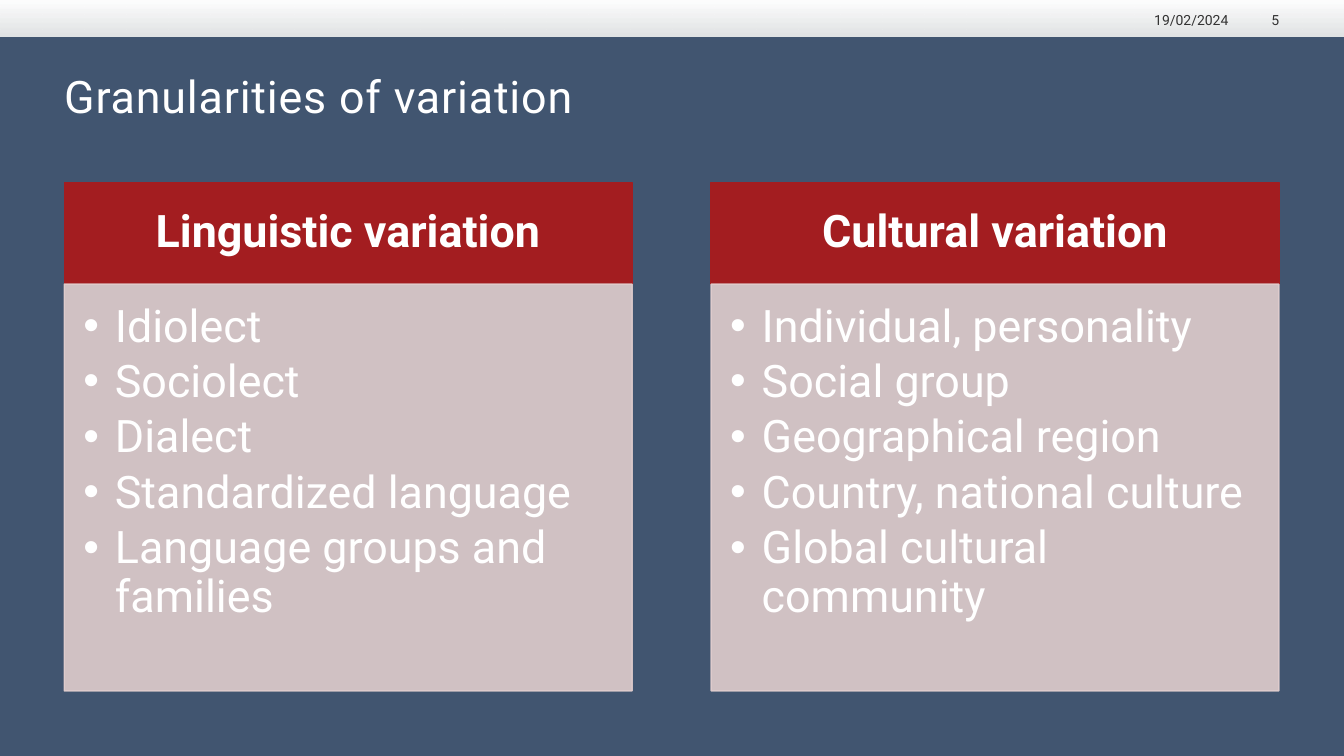
"""Build the slide on granularities of linguistic and cultural variation."""

from dataclasses import dataclass

from pptx import Presentation
from pptx.dml.color import RGBColor
from pptx.enum.shapes import MSO_SHAPE
from pptx.enum.text import MSO_ANCHOR, MSO_AUTO_SIZE, PP_ALIGN
from pptx.oxml.ns import qn
from pptx.oxml.xmlchemy import OxmlElement
from pptx.util import Pt


@dataclass(frozen=True)
class Theme:
    font: str = "Roboto"
    background: RGBColor = RGBColor(0x41, 0x55, 0x70)
    white: RGBColor = RGBColor(0xFF, 0xFF, 0xFF)
    bar_end: RGBColor = RGBColor(0xEE, 0xEF, 0xEE)
    heading: RGBColor = RGBColor(0xA3, 0x1D, 0x20)
    panel: RGBColor = RGBColor(0xE0, 0xCD, 0xCD)
    stamp: RGBColor = RGBColor(0x33, 0x33, 0x33)
    large: float = 32
    small: float = 10


@dataclass(frozen=True)
class Box:
    left: float
    top: float
    width: float
    height: float


@dataclass(frozen=True)
class Column:
    heading: str
    items: tuple[str, ...]


@dataclass(frozen=True)
class Stamp:
    text: str
    box: Box


THEME = Theme()
SLIDE_WIDTH, SLIDE_HEIGHT = 960, 540
MARGIN = 45.9
COLUMN_WIDTH, COLUMN_STEP = 405.6, 462
HEADING_TOP, BODY_TOP, BODY_BOTTOM = 130.5, 203, 493.5
INDENT = 22.5
COMPARISON_LAYOUT = 4

COLUMNS = (
    Column(
        "Linguistic variation",
        ("Idiolect", "Sociolect", "Dialect", "Standardized language", "Language groups and families"),
    ),
    Column(
        "Cultural variation",
        (
            "Individual, personality",
            "Social group",
            "Geographical region",
            "Country, national culture",
            "Global cultural community",
        ),
    ),
)
STAMPS = (
    Stamp("19/02/2024", Box(813.5, 6.5, 64, 13.7)),
    Stamp("5", Box(883.5, 6.5, 30.2, 13.7)),
)


def place(shape, box: Box) -> None:
    shape.left, shape.top = Pt(box.left), Pt(box.top)
    shape.width, shape.height = Pt(box.width), Pt(box.height)


def set_alpha(color_element, percent: int) -> None:
    alpha = OxmlElement("a:alpha")
    alpha.set("val", str(percent * 1000))
    color_element.append(alpha)


def paint(shape, color: RGBColor, alpha: int = 100) -> None:
    shape.fill.solid()
    shape.fill.fore_color.rgb = color
    shape.line.color.rgb = color
    shape.line.width = Pt(1)
    if alpha < 100:
        for color_element in shape._element.spPr.iter(qn("a:srgbClr")):
            set_alpha(color_element, alpha)


def add_bullet(paragraph) -> None:
    properties = paragraph._p.get_or_add_pPr()
    properties.set("marL", str(Pt(INDENT)))
    properties.set("indent", str(-Pt(INDENT)))
    bullet = OxmlElement("a:buChar")
    bullet.set("char", "•")
    properties.append(bullet)


def write_text(
    shape,
    *lines: str,
    size: float = THEME.large,
    color: RGBColor = THEME.white,
    bold: bool = False,
    align: PP_ALIGN = PP_ALIGN.LEFT,
    anchor: MSO_ANCHOR = MSO_ANCHOR.TOP,
    insets: tuple[float, float, float, float] = (0, 0, 0, 0),
    line_spacing: float = 1.0,
    space_after: float = 0,
    tracking: float = 0,
    bulleted: bool = False,
) -> None:
    frame = shape.text_frame
    frame.text = "\n".join(lines)
    frame.word_wrap = True
    frame.auto_size = MSO_AUTO_SIZE.NONE
    frame.vertical_anchor = anchor
    frame.margin_left, frame.margin_top, frame.margin_right, frame.margin_bottom = map(Pt, insets)
    for paragraph in frame.paragraphs:
        paragraph.alignment = align
        paragraph.line_spacing = line_spacing
        paragraph.space_before = Pt(0)
        paragraph.space_after = Pt(space_after)
        if bulleted:
            add_bullet(paragraph)
        for run in paragraph.runs:
            run.font.name = THEME.font
            run.font.size = Pt(size)
            run.font.bold = bold
            run.font.color.rgb = color
            if tracking:
                run._r.get_or_add_rPr().set("spc", str(round(tracking * 100)))


def add_top_bar(slide) -> None:
    bar = slide.shapes.add_shape(MSO_SHAPE.RECTANGLE, 0, 0, Pt(SLIDE_WIDTH), Pt(26.2))
    bar.shadow.inherit = False
    bar.line.fill.background()
    bar.fill.gradient()
    bar.fill.gradient_angle = 270
    for stop, color in zip(bar.fill.gradient_stops, (THEME.white, THEME.bar_end)):
        stop.color.rgb = color
    set_alpha(list(bar._element.spPr.iter(qn("a:srgbClr")))[-1], 93)


def add_stamp(slide, stamp: Stamp) -> None:
    shape = slide.shapes.add_textbox(0, 0, 0, 0)
    place(shape, stamp.box)
    write_text(shape, stamp.text, size=THEME.small, color=THEME.stamp,
               align=PP_ALIGN.RIGHT, anchor=MSO_ANCHOR.BOTTOM)


def fill_column(slide, index: int, column: Column) -> None:
    left = MARGIN + index * COLUMN_STEP
    heading = slide.placeholders[2 * index + 1]
    body = slide.placeholders[2 * index + 2]
    place(heading, Box(left, HEADING_TOP, COLUMN_WIDTH, BODY_TOP - HEADING_TOP))
    paint(heading, THEME.heading)
    write_text(heading, column.heading, bold=True, align=PP_ALIGN.CENTER,
               anchor=MSO_ANCHOR.MIDDLE, insets=(18, 10, 18, 10), line_spacing=0.9)
    place(body, Box(left, BODY_TOP, COLUMN_WIDTH, BODY_BOTTOM - BODY_TOP))
    paint(body, THEME.panel, alpha=90)
    write_text(body, *column.items, insets=(13.7, 13.7, 18, 20),
               line_spacing=0.9, space_after=5, bulleted=True)


def main() -> None:
    presentation = Presentation()
    presentation.slide_width, presentation.slide_height = Pt(SLIDE_WIDTH), Pt(SLIDE_HEIGHT)
    slide = presentation.slides.add_slide(presentation.slide_layouts[COMPARISON_LAYOUT])
    slide.background.fill.solid()
    slide.background.fill.fore_color.rgb = THEME.background
    add_top_bar(slide)
    place(slide.shapes.title, Box(MARGIN, 49, 867, 67.7))
    write_text(slide.shapes.title, "Granularities of variation", tracking=0.6)
    for stamp in STAMPS:
        add_stamp(slide, stamp)
    for index, column in enumerate(COLUMNS):
        fill_column(slide, index, column)
    presentation.save("out.pptx")


if __name__ == "__main__":
    main()
